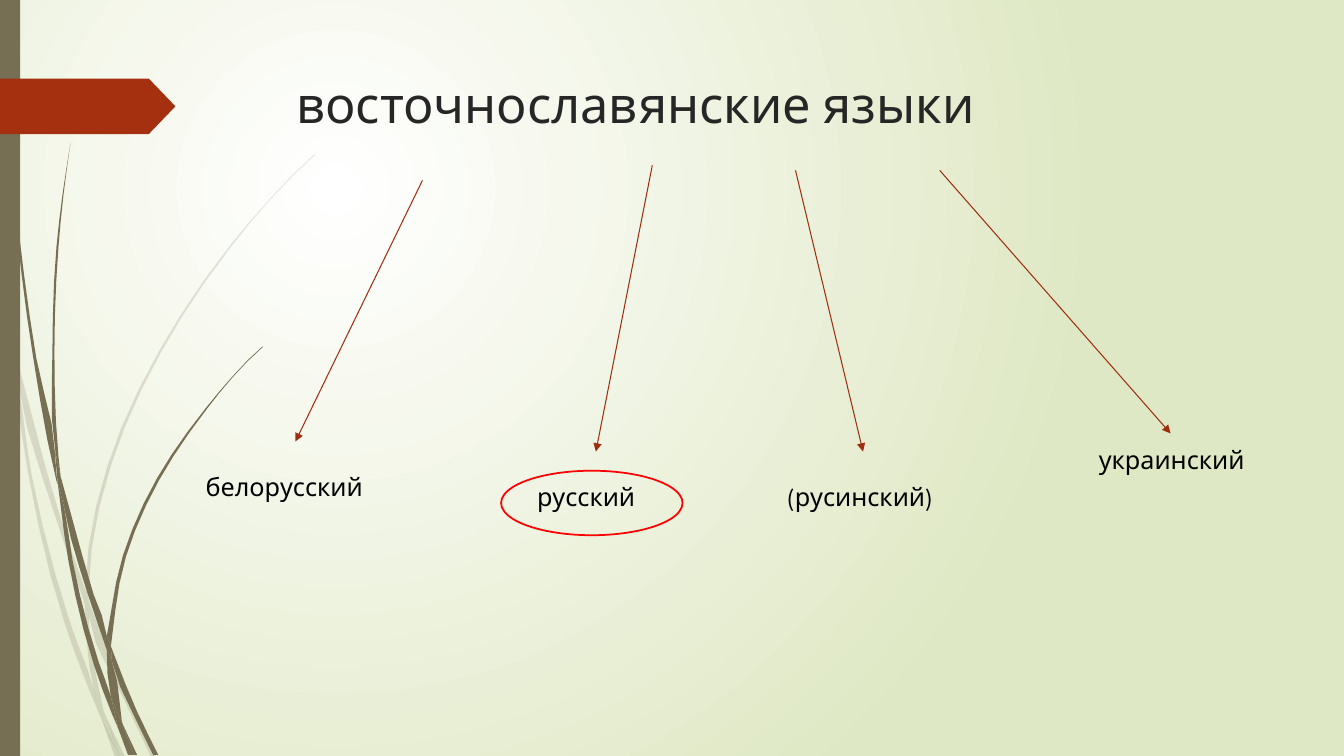
"""Build a slide that branches the East Slavic languages out from their title."""
from dataclasses import dataclass

from lxml import etree
from pptx import Presentation
from pptx.dml.color import RGBColor
from pptx.enum import shapes, text
from pptx.oxml.ns import qn
from pptx.util import Inches, Pt

Point = tuple[float, float]


@dataclass(frozen=True)
class Theme:
    font: str = "League Spartan"
    title_size: float = 36
    label_size: float = 18
    arrow_width: float = 0.75
    ring_width: float = 1.25
    title: str = "262626"
    label: str = "000000"
    arrow: str = "9E2E0F"
    ring: str = "FF0000"
    tab: str = "A53010"
    grass: str = "766F54"
    glow: str = "FFFFFF"
    meadow: str = "DFE8C4"
    faint_alpha: int = 20


@dataclass(frozen=True)
class Branch:
    language: str
    left: float
    top: float
    width: float
    arrow_from: Point
    arrow_to: Point


@dataclass(frozen=True)
class Blade:
    near_edge: list[Point]
    far_edge: list[Point]


THEME = Theme()

BRANCHES = [
    Branch("белорусский", 1.94, 4.63, 4.29, (4.19, 1.79), (2.93, 4.38)),
    Branch("русский", 5.23, 4.73, 3.86, (6.47, 1.64), (5.91, 4.48)),
    Branch("украинский", 10.8, 4.36, 3, (9.32, 1.69), (11.61, 4.3)),
    Branch("(русинский)", 7.71, 4.73, 3.39, (7.89, 1.69), (8.56, 4.48)),
]

FAINT_GRASS = [
    Blade([(0, 2.82), (0, 2.99), (0.1, 3.44), (0.11, 3.5)],
          [(0, 2.82), (0.09, 3.22), (0.11, 3.5)]),
    Blade([(0.14, 3.45), (0.17, 3.76), (0.58, 5.22), (0.84, 5.99)],
          [(0.14, 3.45), (0.62, 5.2), (0.85, 5.86)]),
    Blade([(0.88, 5.96), (0.88, 6.1), (1.23, 6.94), (1.5, 7.51)],
          [(0.88, 5.96), (0.92, 6.07), (1.27, 6.92), (1.55, 7.51)]),
    Blade([(1.05, 7.11), (1.19, 7.51)], [(1.05, 7.11), (1.24, 7.51)]),
    Blade([(0.11, 3.5), (0.28, 4.7), (0.65, 6.21), (0.92, 6.93), (1.01, 7.14)],
          [(0.11, 3.5), (0.17, 3.76), (0.31, 4.69), (0.7, 6.19), (0.93, 6.83),
           (0.99, 7.07), (1.01, 7.14)]),
    Blade([(0.84, 5.99), (0.87, 6.46), (0.93, 6.83), (0.96, 6.92), (1.05, 7.11)],
          [(0.84, 5.99), (0.88, 6.08), (0.88, 6.1), (0.91, 6.46), (1.03, 7.06)]),
    Blade([(3.12, 1.53), (2.89, 1.75), (2.68, 1.97), (2.28, 2.44), (1.58, 3.48),
           (1.07, 4.61), (0.85, 5.84), (0.85, 5.86)],
          [(3.12, 1.54), (2.9, 1.75), (2.68, 1.98), (2.29, 2.45), (1.6, 3.49),
           (1.1, 4.62), (0.88, 5.84), (0.88, 5.96)]),
    Blade([(1.01, 7.14), (1.14, 7.51)], [(1.01, 7.14), (1.19, 7.51)]),
    Blade([(0.85, 5.86), (0.84, 5.99), (0.88, 6.08)],
          [(0.85, 5.86), (0.88, 5.96), (0.88, 6.1)]),
    Blade([(0.93, 6.83), (0.99, 7.07), (1.01, 7.14), (1.19, 7.51)],
          [(0.93, 6.83), (0.96, 6.92), (1.05, 7.11), (1.19, 7.51)]),
]

SOLID_GRASS = [
    Blade([(0.03, 0), (0.04, 0.48), (0.07, 1.1), (0.17, 2.33), (0.33, 3.55),
           (0.56, 4.77), (0.57, 4.81)],
          [(0.04, 0), (0.05, 0.48), (0.08, 1.09), (0.19, 2.32), (0.36, 3.55),
           (0.55, 4.53), (0.55, 4.57)]),
    Blade([(0.6, 4.72), (0.64, 5.05), (0.88, 5.92), (1.06, 6.45)],
          [(0.6, 4.72), (0.93, 5.9), (1.06, 6.31), (1.06, 6.33)]),
    Blade([(1.1, 6.41), (1.11, 6.56), (1.32, 7.08), (1.52, 7.49)],
          [(1.1, 6.41), (1.13, 6.49), (1.36, 7.06), (1.57, 7.49)]),
    Blade([(0.57, 4.77), (0.68, 5.57), (0.93, 6.59), (1.11, 7.08), (1.17, 7.22)],
          [(0.57, 4.77), (0.64, 5.05), (0.72, 5.56), (0.98, 6.57), (1.1, 6.91),
           (1.16, 7.17)]),
    Blade([(0.7, 1.41), (0.62, 1.93), (0.56, 2.45), (0.52, 3.49), (0.55, 4.49), (0.6, 4.72)],
          [(0.7, 1.41), (0.63, 1.93), (0.58, 2.45), (0.54, 3.49), (0.58, 4.53), (0.6, 4.72)]),
    Blade([(1.22, 7.19), (1.33, 7.49)], [(1.22, 7.19), (1.36, 7.49)]),
    Blade([(0.55, 4.49), (0.55, 4.53), (0.57, 4.77), (0.64, 5.05)],
          [(0.55, 4.49), (0.6, 4.72), (0.64, 5.05)]),
    Blade([(2.6, 3.44), (2.45, 3.58), (2.31, 3.73), (2.04, 4.05), (1.56, 4.74),
           (1.22, 5.51), (1.06, 6.31)],
          [(2.61, 3.44), (2.45, 3.59), (2.31, 3.74), (2.05, 4.06), (1.58, 4.76),
           (1.25, 5.52), (1.11, 6.33), (1.1, 6.41)]),
    Blade([(1.17, 7.22), (1.27, 7.49)], [(1.17, 7.22), (1.31, 7.49)]),
    Blade([(1.06, 6.45), (1.1, 6.91), (1.16, 7.06), (1.22, 7.19)],
          [(1.06, 6.45), (1.09, 6.51), (1.11, 6.56), (1.21, 7.16)]),
    Blade([(1.06, 6.31), (1.06, 6.45), (1.09, 6.51), (1.11, 6.56)],
          [(1.06, 6.31), (1.1, 6.41), (1.11, 6.56)]),
    Blade([(1.1, 6.91), (1.16, 7.17), (1.17, 7.22), (1.3, 7.49)],
          [(1.1, 6.91), (1.16, 7.06), (1.22, 7.19), (1.33, 7.49)]),
]


def smooth_edge(knots: list[Point]) -> list[Point]:
    """Return points on a Hermite curve through the knots, paced by height."""
    spans = list(zip(knots, knots[1:]))
    rises = [end[1] - start[1] for start, end in spans]
    leans = [(end[0] - start[0]) / rise for (start, end), rise in zip(spans, rises)]
    inner = [(leans[i] * rises[i + 1] + leans[i + 1] * rises[i]) / (rises[i] + rises[i + 1])
             for i in range(len(spans) - 1)]
    slopes = [leans[0], *inner, leans[-1]]
    curve = [knots[0]]
    for ((x0, y0), (x1, _)), rise, m0, m1 in zip(spans, rises, slopes, slopes[1:]):
        steps = min(3, 1 + int(rise / 0.3))
        for step in range(1, steps + 1):
            t = step / steps
            blend = t * t * (3 - 2 * t)
            bend = rise * (m0 * t * (1 - t) ** 2 - m1 * t * t * (1 - t))
            curve.append((x0 + (x1 - x0) * blend + bend, y0 + rise * t))
    return curve


def paint(shape, color: str) -> None:
    """Give a shape a plain fill with neither outline nor shadow."""
    shape.shadow.inherit = False
    shape.fill.solid()
    shape.fill.fore_color.rgb = RGBColor.from_string(color)
    shape.line.fill.background()


def paint_background(slide) -> None:
    """Fill the background with a round glow."""
    fill = slide.background.fill
    fill.gradient()
    for stop, color, position in zip(fill.gradient_stops, (THEME.glow, THEME.meadow), (0, 1)):
        stop.color.rgb = RGBColor.from_string(color)
        stop.position = position
    gradient = slide.element.find(".//" + qn("a:gradFill"))
    gradient.remove(gradient.find(qn("a:lin")))
    circle = etree.SubElement(gradient, qn("a:path"), {"path": "circle"})
    etree.SubElement(circle, qn("a:fillToRect"), l="50000", t="50000", r="100000", b="100000")


def add_grass(slide, blades: list[Blade], alpha: int = 100) -> None:
    """Draw a group of tapering blades of grass."""
    tuft = []
    for blade in blades:
        outline = smooth_edge(blade.near_edge) + smooth_edge(blade.far_edge)[::-1]
        corners = [(Inches(x), Inches(y)) for x, y in outline]
        builder = slide.shapes.build_freeform(*corners[0])
        builder.add_line_segments(corners[1:])
        grass = builder.convert_to_shape()
        paint(grass, THEME.grass)
        if alpha < 100:
            color = grass.element.spPr.find(qn("a:solidFill"))[0]
            etree.SubElement(color, qn("a:alpha"), val=str(alpha * 1000))
        tuft.append(grass)
    slide.shapes.add_group_shape(tuft)


def add_decoration(slide) -> None:
    """Draw the grass, the side bar and the red tab."""
    add_grass(slide, FAINT_GRASS, THEME.faint_alpha)
    add_grass(slide, SOLID_GRASS)
    side_bar = slide.shapes.add_shape(shapes.MSO_SHAPE.RECTANGLE, 0, 0, Inches(0.2), Inches(7.5))
    paint(side_bar, THEME.grass)
    tab = slide.shapes.add_shape(
        shapes.MSO_SHAPE.PENTAGON, 0, Inches(0.78), Inches(1.74), Inches(0.55))
    tab.adjustments[0] = 0.48
    paint(tab, THEME.tab)


def write(frame, wording: str, size: float, color: str) -> None:
    """Put one left-aligned line in a text frame."""
    frame.text = wording
    frame.word_wrap = True
    frame.vertical_anchor = text.MSO_ANCHOR.TOP
    paragraph = frame.paragraphs[0]
    paragraph.alignment = text.PP_ALIGN.LEFT
    paragraph.font.name = THEME.font
    paragraph.font.size = Pt(size)
    paragraph.font.color.rgb = RGBColor.from_string(color)


def add_branch(slide, branch: Branch) -> None:
    """Draw one arrow and the language it leads to."""
    ends = (Inches(value) for value in branch.arrow_from + branch.arrow_to)
    arrow = slide.shapes.add_connector(shapes.MSO_CONNECTOR.STRAIGHT, *ends)
    arrow.line.color.rgb = RGBColor.from_string(THEME.arrow)
    arrow.line.width = Pt(THEME.arrow_width)
    etree.SubElement(arrow.element.spPr.find(qn("a:ln")), qn("a:tailEnd"), type="triangle")
    etree.SubElement(arrow.element.spPr, qn("a:effectLst"))
    label = slide.shapes.add_textbox(
        Inches(branch.left), Inches(branch.top), Inches(branch.width), Inches(0.4))
    write(label.text_frame, branch.language, THEME.label_size, THEME.label)
    label.text_frame.auto_size = text.MSO_AUTO_SIZE.SHAPE_TO_FIT_TEXT


def main() -> None:
    """Build and save the slide."""
    deck = Presentation()
    deck.slide_width, deck.slide_height = Inches(13.33), Inches(7.5)
    slide = deck.slides.add_slide(deck.slide_layouts[5])
    paint_background(slide)
    add_decoration(slide)
    title = slide.shapes.title
    title.left, title.top = Inches(2.84), Inches(0.68)
    title.width, title.height = Inches(9.75), Inches(1.4)
    write(title.text_frame, "восточнославянские языки", THEME.title_size, THEME.title)
    for branch in BRANCHES:
        add_branch(slide, branch)
    ring = slide.shapes.add_shape(
        shapes.MSO_SHAPE.OVAL, Inches(4.97), Inches(4.67), Inches(1.8), Inches(0.64))
    ring.shadow.inherit = False
    ring.fill.background()
    ring.line.color.rgb = RGBColor.from_string(THEME.ring)
    ring.line.width = Pt(THEME.ring_width)
    deck.save("out.pptx")


if __name__ == "__main__":
    main()
